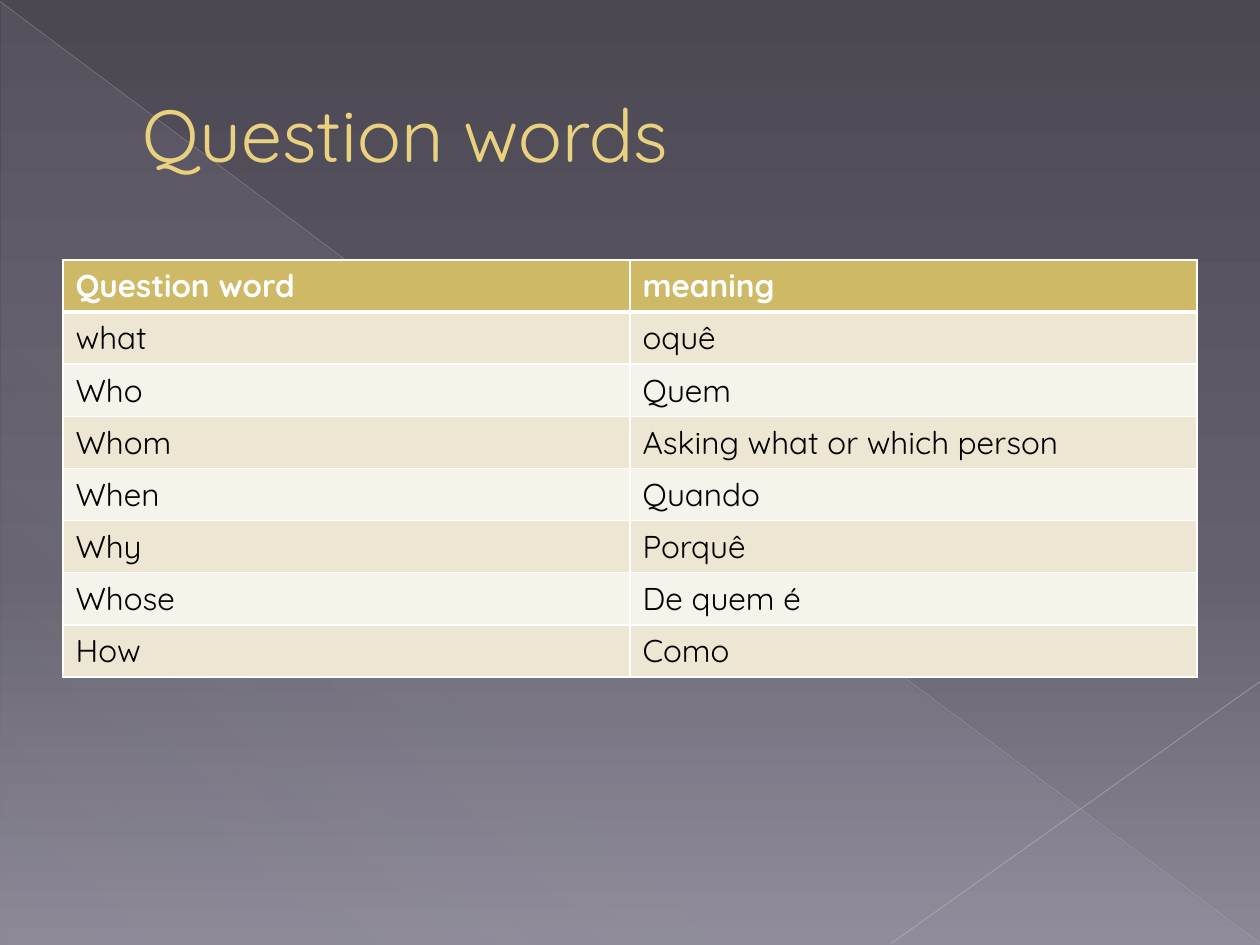
from pptx import Presentation
from pptx import util as u
from pptx.dml.color import RGBColor
from pptx.enum import shapes, text
from pptx.oxml import ns
from lxml import etree

FONT = "Quicksand"
WORDS = [
    ("Question word", "meaning"),
    ("what", "oquê"),
    ("Who", "Quem"),
    ("Whom", "Asking what or which person"),
    ("When", "Quando"),
    ("Why", "Porquê"),
    ("Whose", "De quem é"),
    ("How", "Como"),
]
HEADER = {"size": u.Pt(18), "name": FONT, "bold": True}
BODY = {"size": u.Pt(18), "name": FONT, "bold": False}
TITLE = {"size": u.Pt(42), "name": FONT, "bold": False}


def rgb(value):
    """Turn a hex string into a colour."""
    return RGBColor.from_string(value)


def add_xml(parent, tag, **attributes):
    """Append a drawing element to parent and return it."""
    return etree.SubElement(parent, ns.qn("a:" + tag),
                            {key: str(val) for key, val in attributes.items()})


def add_color(parent, value, alpha=100):
    """Append a colour with its opacity in percent."""
    color = add_xml(parent, "srgbClr", val=value)
    if alpha < 100:
        add_xml(color, "alpha", val=alpha * 1000)


def style_font(font, formats, color):
    """Apply a dict of font values and a colour."""
    for key, val in formats.items():
        setattr(font, key, val)
    font.color.rgb = rgb(color)


def paint_gradient(fill, owner, stops, angle):
    """Fill with (position, colour, opacity) stops at a clockwise angle."""
    fill.gradient()
    fill.gradient_angle = 360 - angle
    stop_list = owner.find(".//" + ns.qn("a:gsLst"))
    for old in list(stop_list):
        stop_list.remove(old)
    for position, color, alpha in stops:
        add_color(add_xml(stop_list, "gs", pos=position * 1000), color, alpha)


def add_ray(slide, start, end, color, width, alpha):
    """Draw a thin translucent line."""
    ray = slide.shapes.add_connector(
        shapes.MSO_CONNECTOR.STRAIGHT, *map(u.Cm, start + end))
    ray.line.width = u.Pt(width)
    ray.line.color.rgb = rgb(color)
    tint = ray.element.spPr.find(".//" + ns.qn("a:srgbClr"))
    add_xml(tint, "alpha", val=alpha * 1000)
    add_xml(ray.element.spPr, "effectLst")


def add_backdrop(slide, width, height):
    """Paint the background, the pale corner and the two rays."""
    paint_gradient(slide.background.fill, slide.element,
                   [(0, "4B4852", 100), (60, "64606D", 100), (100, "8C8896", 100)], 90)
    corner = slide.shapes.add_shape(
        shapes.MSO_SHAPE.RIGHT_TRIANGLE, u.Cm(0.03), u.Cm(0.05),
        u.Cm(width - 0.05), u.Cm(height - 0.05))
    corner.shadow.inherit = False
    corner.line.fill.background()
    paint_gradient(corner.fill, corner.element,
                   [(0, "C9C2D1", 10), (70, "C9C2D1", 8), (100, "C9C2D1", 1)], 133)
    add_ray(slide, (0, 0.03), (width, height - 0.03), "C0BFC2", 0.39, 35)
    add_ray(slide, (width, 13.74), (17.96, height - 0.03), "C7C6C8", 0.47, 45)


def add_title(slide, left, top, width, height):
    """Place the heading in the title placeholder, above the backdrop."""
    title = slide.shapes.title
    slide.shapes.element.append(title.element)
    box = {"left": left, "top": top, "width": width, "height": height}
    for key, val in box.items():
        setattr(title, key, u.Cm(val))
    frame = title.text_frame
    frame.text = "Question words"
    frame.auto_size = text.MSO_AUTO_SIZE.NONE
    frame.vertical_anchor = text.MSO_ANCHOR.MIDDLE
    heading = frame.paragraphs[0]
    heading.alignment = text.PP_ALIGN.LEFT
    props = heading._p.get_or_add_pPr()
    props.set("marL", str(u.Cm(1.35)))
    props.set("indent", "0")
    run = heading.runs[0]
    style_font(run.font, TITLE, "E9D17F")
    outline = etree.Element(ns.qn("a:ln"), w=str(u.Pt(0.5)))
    add_color(add_xml(outline, "solidFill"), "8F8047")
    run._r.get_or_add_rPr().insert(0, outline)


def add_borders(cell, bottom):
    """Give a cell white borders, with its own bottom width."""
    props = cell._tc.get_or_add_tcPr()
    for index, (side, width) in enumerate(
            [("lnL", 1), ("lnR", 1), ("lnT", 1), ("lnB", bottom)]):
        border = etree.Element(ns.qn("a:" + side), w=str(u.Pt(width)))
        add_color(add_xml(border, "solidFill"), "FFFFFF")
        props.insert(index, border)


def add_word_table(slide, left, top, width, height):
    """Build the table of question words and their meanings."""
    table = slide.shapes.add_table(
        len(WORDS), 2, *map(u.Cm, (left, top, width, height))).table
    for row, entries in enumerate(WORDS):
        is_header = row == 0
        band = "CEB966" if is_header else ("F6F3EA", "EDE6D3")[row % 2]
        for column, entry in enumerate(entries):
            cell = table.cell(row, column)
            cell.text = entry
            cell.fill.solid()
            cell.fill.fore_color.rgb = rgb(band)
            style_font(cell.text_frame.paragraphs[0].runs[0].font,
                       HEADER if is_header else BODY,
                       "FFFFFF" if is_header else "000000")
            add_borders(cell, 3 if is_header else 1)
            if row == 1:
                top_border = cell._tc.tcPr.find(ns.qn("a:lnT"))
                top_border.set("w", str(u.Pt(3)))


def build():
    """Create the slide and save it."""
    deck = Presentation()
    width, height = 25.4, 19.05
    deck.slide_width, deck.slide_height = u.Cm(width), u.Cm(height)
    slide = deck.slides.add_slide(deck.slide_layouts[5])
    margin = 1.27
    add_backdrop(slide, width, height)
    add_title(slide, margin, 0.74, width - 2 * margin, 3.89)
    add_word_table(slide, margin, 5.24, width - 2 * margin, 8.24)
    deck.save("out.pptx")


build()
